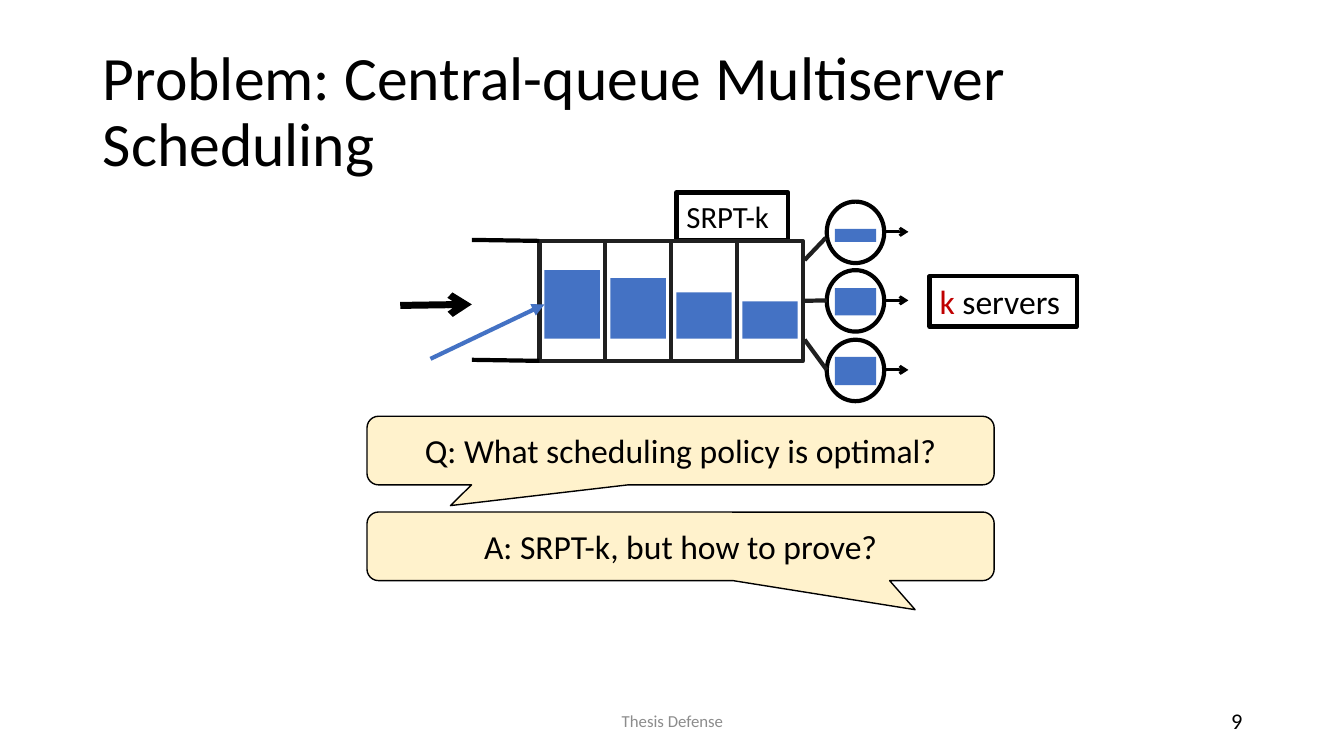
from lxml import etree
from pptx import Presentation
from pptx import util as u
from pptx.dml.color import RGBColor
from pptx.enum import shapes, text
from pptx.oxml.ns import qn

# Content
HUES = {"black": "000000", "dark": "202020", "white": "FFFFFF", "blue": "4472C4",
        "red": "C00000", "cream": "FFF2CC", "gray": "8C8C8C"}
FONT = "Calibri"
TITLE = "Problem: Central-queue Multiserver Scheduling"
LABELS = [  # place, fill, size, runs
    ((922, 274, 146, 50), "white", 24, [("k ", "red"), ("servers", "black")]),
    ((671, 191, 111, 47), None, 22, [("SRPT-k", "black")]),
]
NOTES = [  # top, tail offset, wording
    (413, (-0.367, 0.803), "Q: What scheduling policy is optimal?"),
    (508, (0.374, 0.925), "A: SRPT-k, but how to prove?"),
]
FOOT = [  # left, width, size, colour, side, wording
    (942, 300, 16, "black", "RIGHT", "9"),
    (442, 450, 12, "gray", "CENTER", "Thesis Defense"),
]
JOBS = [68, 60, 46, 37]  # heights of waiting jobs
SERVERS = [  # top, job top, job height, start of feed, end of feed
    (200, 227, 13, (798, 258), (819, 236)),
    (268, 286, 27, None, (820, 298)),
    (337, 354, 28, (798, 337), (820, 367)),
]

# Helpers
PX = 9144  # 100 px to the inch
KIND = shapes.MSO_SHAPE


def px(*vals):
    return [u.Emu(round(v * PX)) for v in vals]


def hue(name):
    return RGBColor.from_string(HUES[name])


def add_box(kind, place, fill=None, line=None, width=3):
    box = slide.shapes.add_shape(kind, *px(*place))
    box.shadow.inherit = False
    if fill:
        box.fill.solid()
        box.fill.fore_color.rgb = hue(fill)
    else:
        box.fill.background()
    if line:
        box.line.color.rgb = hue(line)
        box.line.width = u.Pt(width)
    else:
        box.line.fill.background()
    return box


def write(box, runs, size, side="LEFT", anchor="MIDDLE"):
    frame = box.text_frame
    frame.word_wrap = True
    frame.vertical_anchor = text.MSO_ANCHOR[anchor]
    para = frame.paragraphs[0]
    para.alignment = text.PP_ALIGN[side]
    for words, tint in runs:
        run = para.add_run()
        run.text = words
        run.font.name = FONT
        run.font.size = u.Pt(size)
        run.font.color.rgb = hue(tint)
    return frame


def add_line(start, end, tint="black", width=3, head=None):
    line = slide.shapes.add_connector(shapes.MSO_CONNECTOR.STRAIGHT, *px(*start, *end))
    line.line.color.rgb = hue(tint)
    line.line.width = u.Pt(width)
    if head:
        etree.SubElement(line.line._get_or_add_ln(), qn("a:tailEnd"), type=head)
    etree.SubElement(line._element.spPr, qn("a:effectLst"))
    return line


# Slide and title
deck = Presentation()
deck.slide_width, deck.slide_height = px(1333, 750)
slide = deck.slides.add_slide(deck.slide_layouts[5])
title = slide.shapes.title
title.left, title.top, title.width, title.height = px(92, 40, 1190, 145)
write(title, [(TITLE, "black")], 44).paragraphs[0].line_spacing = 0.9

# Labels, footer and callouts
for place, fill, size, runs in LABELS:
    frame = write(add_box(KIND.RECTANGLE, place, fill, "black"), runs, size, anchor="TOP")
    frame.auto_size = text.MSO_AUTO_SIZE.SHAPE_TO_FIT_TEXT

for left, wide, size, tint, side, words in FOOT:
    write(slide.shapes.add_textbox(*px(left, 695, wide, 40)), [(words, tint)], size, side)

for top, tail, words in NOTES:
    note = add_box(KIND.ROUNDED_RECTANGULAR_CALLOUT, (364, top, 622, 68), "cream", "black", 1)
    note.adjustments[0], note.adjustments[1] = tail
    write(note, [(words, "black")], 24, "CENTER")

# Queue: slots, then jobs standing on one base
LEFT, TOP, STEP, HIGH, BASE = 535, 239, 65.4, 119, 336
slots = [add_box(KIND.RECTANGLE, (LEFT + i * STEP, TOP, 65, HIGH), "white", "dark")
         for i in range(len(JOBS))]
jobs = [add_box(KIND.RECTANGLE, (LEFT + 5 + i * STEP, BASE - high, 55, high), "blue")
        for i, high in enumerate(JOBS)]
for y in (TOP, TOP + HIGH):
    add_line((468, y - 1), (LEFT, y))

# Servers with feeds and exits
for top, y, high, start, end in SERVERS:
    add_box(KIND.OVAL, (820, top, 57, 61), "white", "black")
    add_box(KIND.RECTANGLE, (828, y, 41, high), "blue")
    mid = top + 30
    add_line((877, mid), (901, mid), width=2, head="arrow")
    feed = add_line(start or end, end, "dark")
    if not start:
        feed.begin_connect(slots[-1], 3)

# Arrivals
add_line((397, 303), (468, 302), width=5, head="arrow")
add_line((427, 356), (540, 302), "blue", head="triangle").end_connect(jobs[0], 1)

deck.save("out.pptx")
